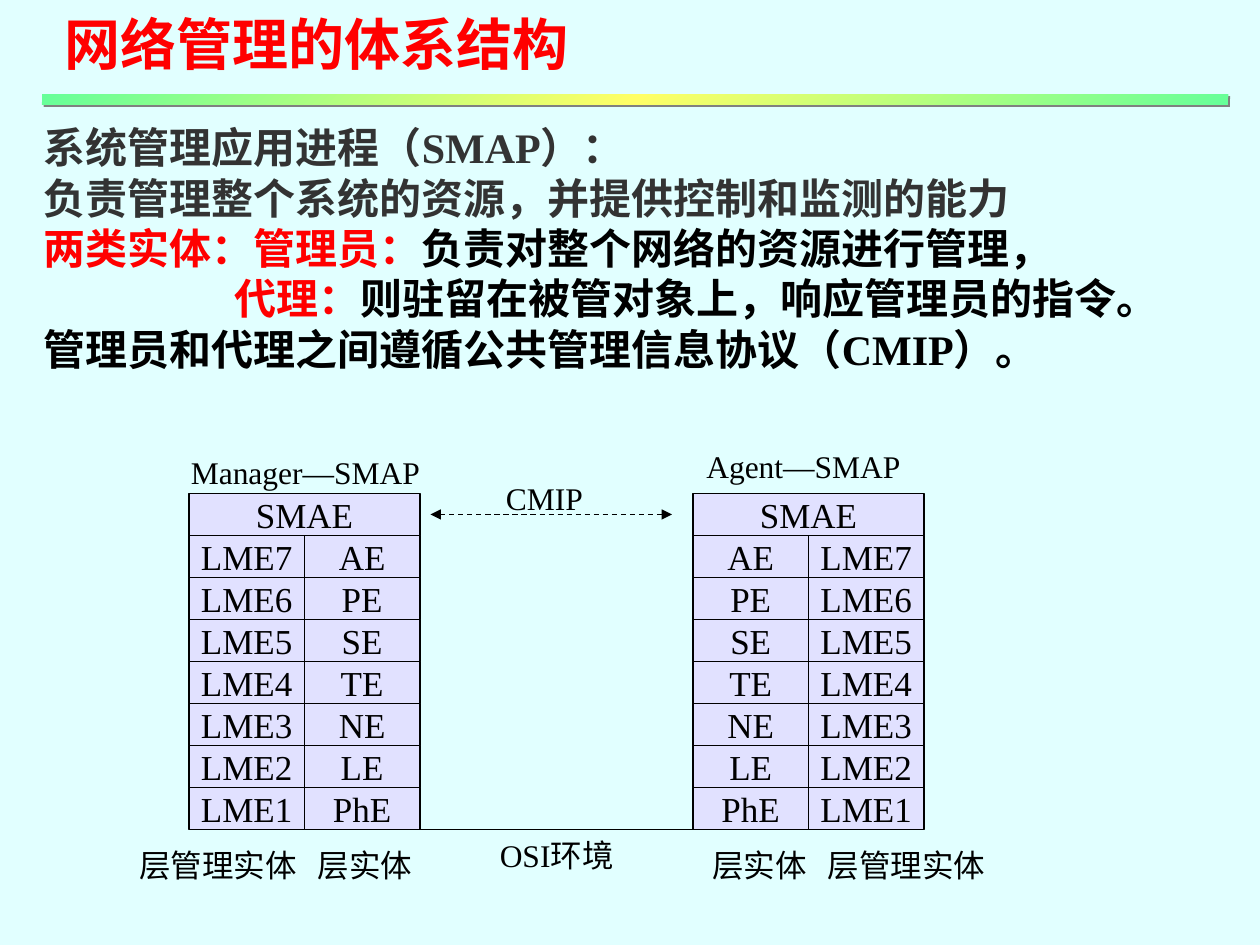
from lxml import etree
from pptx import Presentation
from pptx.dml.color import RGBColor
from pptx.enum.dml import MSO_LINE
from pptx.enum.lang import MSO_LANGUAGE_ID
from pptx.enum.shapes import MSO_CONNECTOR, MSO_SHAPE
from pptx.enum.text import MSO_ANCHOR, MSO_AUTO_SIZE, PP_ALIGN
from pptx.oxml import parse_xml
from pptx.oxml.ns import nsdecls, qn
from pptx.util import Pt

COLORS = {
    "background": "E1FFFF", "cell": "E1E1FF", "black": "000000", "gray": "333333",
    "red": "FF0000", "green": "66FF99", "yellow": "FFFF66", "shadow": "808080",
}
FONT = "Times New Roman"
LAYER_ENTITIES = ["AE", "PE", "SE", "TE", "NE", "LE", "PhE"]
MANAGEMENT_ENTITIES = [f"LME{number}" for number in range(7, 0, -1)]
ROW_HEIGHT = 24
STACK_WIDTH = 132


def color(name):
    return RGBColor.from_string(COLORS[name])


def write(paragraph, text, size=18, fill="black", bold=False):
    run = paragraph.add_run()
    run.text = text
    run.font.name = FONT
    run.font.size = Pt(size)
    run.font.bold = bold
    run.font.color.rgb = color(fill)
    run.font.language_id = MSO_LANGUAGE_ID.SIMPLIFIED_CHINESE


def add_label(slide, text, left, top, width, height=29):
    box = slide.shapes.add_textbox(Pt(left), Pt(top), Pt(width), Pt(height))
    box.text_frame.word_wrap = True
    write(box.text_frame.paragraphs[0], text)


def add_line(slide, left, right, y, dashed_arrow=False):
    line = slide.shapes.add_connector(
        MSO_CONNECTOR.STRAIGHT, Pt(left), Pt(y), Pt(right), Pt(y))
    line.line.color.rgb = color("black")
    line.line.width = Pt(0.75)
    if dashed_arrow:
        line.line.dash_style = MSO_LINE.DASH
        outline = line.line._get_or_add_ln()
        for end in ("a:headEnd", "a:tailEnd"):
            etree.SubElement(outline, qn(end), type="triangle")
    etree.SubElement(line._element.spPr, qn("a:effectLst"))


def place_title(slide, left, top, width, height):
    title = slide.shapes.title
    title.left, title.top, title.width, title.height = map(Pt, (left, top, width, height))
    frame = title.text_frame
    frame.word_wrap = True
    frame.auto_size = MSO_AUTO_SIZE.NONE
    frame.vertical_anchor = MSO_ANCHOR.TOP
    frame.paragraphs[0].alignment = PP_ALIGN.LEFT
    write(frame.paragraphs[0], "网络管理的体系结构", size=32, fill="red", bold=True)


def add_divider(slide, left, top, width, height):
    bar = slide.shapes.add_shape(
        MSO_SHAPE.RECTANGLE, Pt(left), Pt(top), Pt(width), Pt(height))
    bar.line.fill.background()
    stops = "".join(
        f'<a:gs pos="{position}"><a:srgbClr val="{COLORS[name]}"/></a:gs>'
        for position, name in ((0, "green"), (50000, "yellow"), (100000, "green")))
    gradient = parse_xml(
        f'<a:gradFill {nsdecls("a")} rotWithShape="1"><a:gsLst>{stops}</a:gsLst>'
        '<a:lin ang="2700000" scaled="1"/></a:gradFill>')
    shadow = parse_xml(
        f'<a:effectLst {nsdecls("a")}><a:outerShdw dist="{Pt(1.4)}" dir="2700000" '
        f'algn="ctr" rotWithShape="0"><a:srgbClr val="{COLORS["shadow"]}"/>'
        '</a:outerShdw></a:effectLst>')
    properties = bar._element.spPr
    properties.find(qn("a:prstGeom")).addnext(gradient)
    properties.append(shadow)


def add_description(slide, left, top, width, height):
    box = slide.shapes.add_textbox(Pt(left), Pt(top), Pt(width), Pt(height))
    frame = box.text_frame
    frame.word_wrap = True
    frame.auto_size = MSO_AUTO_SIZE.SHAPE_TO_FIT_TEXT
    # Each paragraph: left indent, then its coloured runs
    paragraphs = [
        (0, [("系统管理应用进程（SMAP）：", "gray")]),
        (0, [("负责管理整个系统的资源，并提供控制和监测的能力", "gray")]),
        (0, [("两类实体：管理员：", "red"), ("负责对整个网络的资源进行管理，", "black")]),
        (109, [("代理：", "red"), ("则驻留在被管对象上，响应管理员的指令。", "black")]),
        (0, [("管理员和代理之间遵循公共管理信息协议（CMIP）。", "black")]),
    ]
    for index, (indent, runs) in enumerate(paragraphs):
        paragraph = frame.paragraphs[0] if index == 0 else frame.add_paragraph()
        if indent:
            paragraph._p.get_or_add_pPr().set("marL", str(Pt(indent)))
        for text, fill in runs:
            write(paragraph, text, size=24, fill=fill, bold=True)


def add_cell(slide, text, left, top, width):
    cell = slide.shapes.add_shape(
        MSO_SHAPE.RECTANGLE, Pt(left), Pt(top), Pt(width), Pt(ROW_HEIGHT))
    cell.shadow.inherit = False
    cell.fill.solid()
    cell.fill.fore_color.rgb = color("cell")
    cell.line.color.rgb = color("black")
    cell.line.width = Pt(0.75)
    frame = cell.text_frame
    frame.word_wrap = False
    frame.vertical_anchor = MSO_ANCHOR.MIDDLE
    frame.paragraphs[0].alignment = PP_ALIGN.CENTER
    write(frame.paragraphs[0], text, size=20)


def add_stack(slide, left, top, width, columns):
    add_cell(slide, "SMAE", left, top, width)
    column_width = width / len(columns)
    for row, texts in enumerate(zip(*columns), start=1):
        for column, text in enumerate(texts):
            add_cell(slide, text, left + column * column_width,
                     top + row * ROW_HEIGHT, column_width)


def add_architecture(slide, left, top, width):
    right_stack = left + width - STACK_WIDTH
    bottom = top + 8 * ROW_HEIGHT
    # Protocol stacks, mirrored
    add_stack(slide, left, top, STACK_WIDTH, [MANAGEMENT_ENTITIES, LAYER_ENTITIES])
    add_stack(slide, right_stack, top, STACK_WIDTH, [LAYER_ENTITIES, MANAGEMENT_ENTITIES])
    # Links between the stacks
    add_line(slide, left + 102, left + 312, bottom)
    add_line(slide, left + 138, left + 276, top + ROW_HEIGHT / 2, dashed_arrow=True)
    # Labels
    add_label(slide, "Manager—SMAP", left - 6, top - 26.5, 152)
    add_label(slide, "Agent—SMAP", right_stack + 0.5, top - 30, 132)
    add_label(slide, "CMIP", left + 174, top - 12, 66)
    add_label(slide, "OSI环境", left + 170.5, bottom, 90)
    for text, label_left, label_width in (
        ("层管理实体", left - 35.5, 112),
        ("层实体", left + 66.5, 76),
        ("层实体", right_stack + 4, 76),
        ("层管理实体", right_stack + 70, 112),
    ):
        add_label(slide, text, label_left, bottom + 6, label_width)


def main():
    presentation = Presentation()
    presentation.slide_width = Pt(720)
    presentation.slide_height = Pt(540)
    slide = presentation.slides.add_slide(presentation.slide_layouts[5])
    slide.background.fill.solid()
    slide.background.fill.fore_color.rgb = color("background")
    place_title(slide, 29.5, 2, 312, 46)
    add_description(slide, 18, 66, 678, 151)
    add_architecture(slide, 108, 282, 420)
    add_divider(slide, 24, 54, 678, 6)
    presentation.save("out.pptx")


if __name__ == "__main__":
    main()
